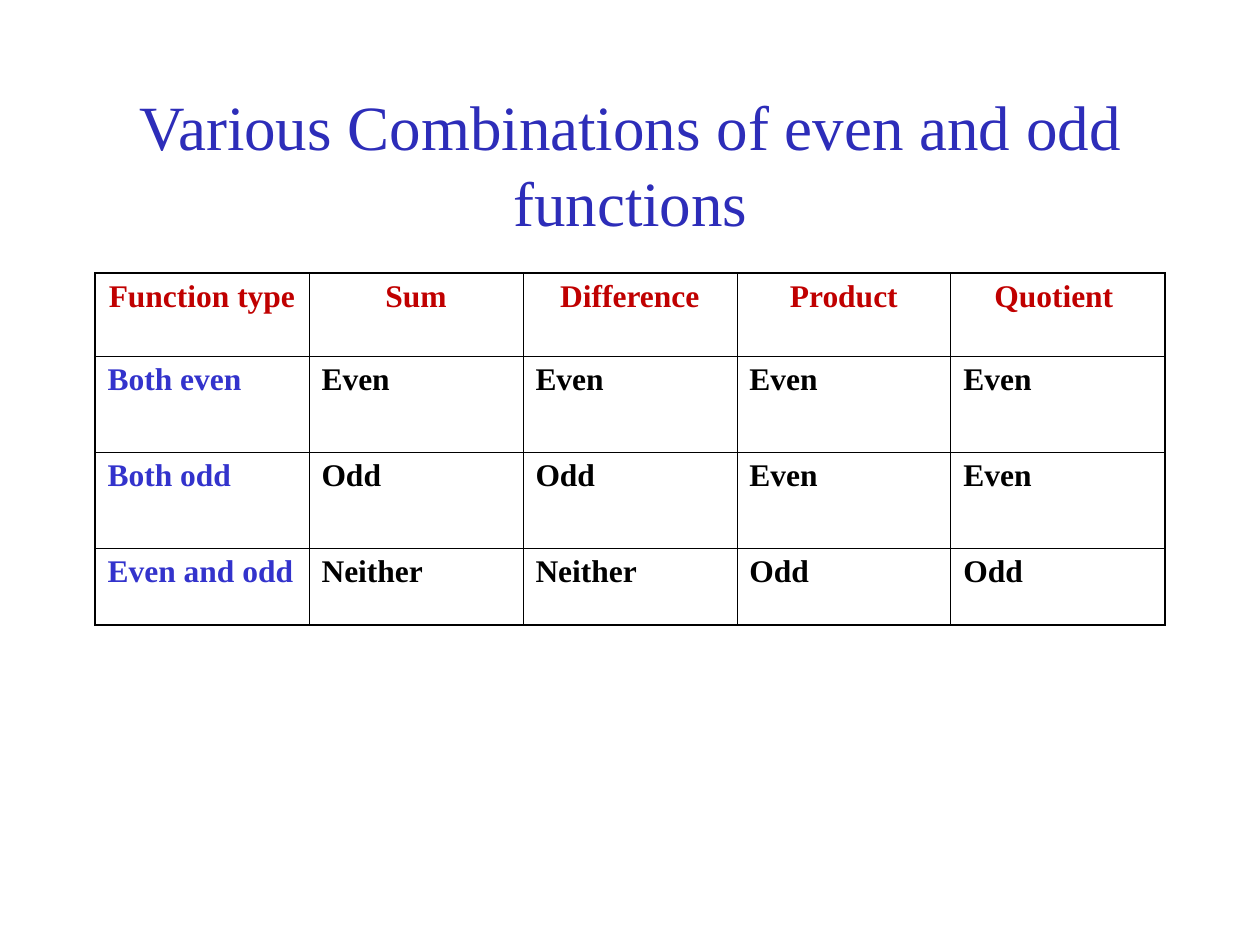
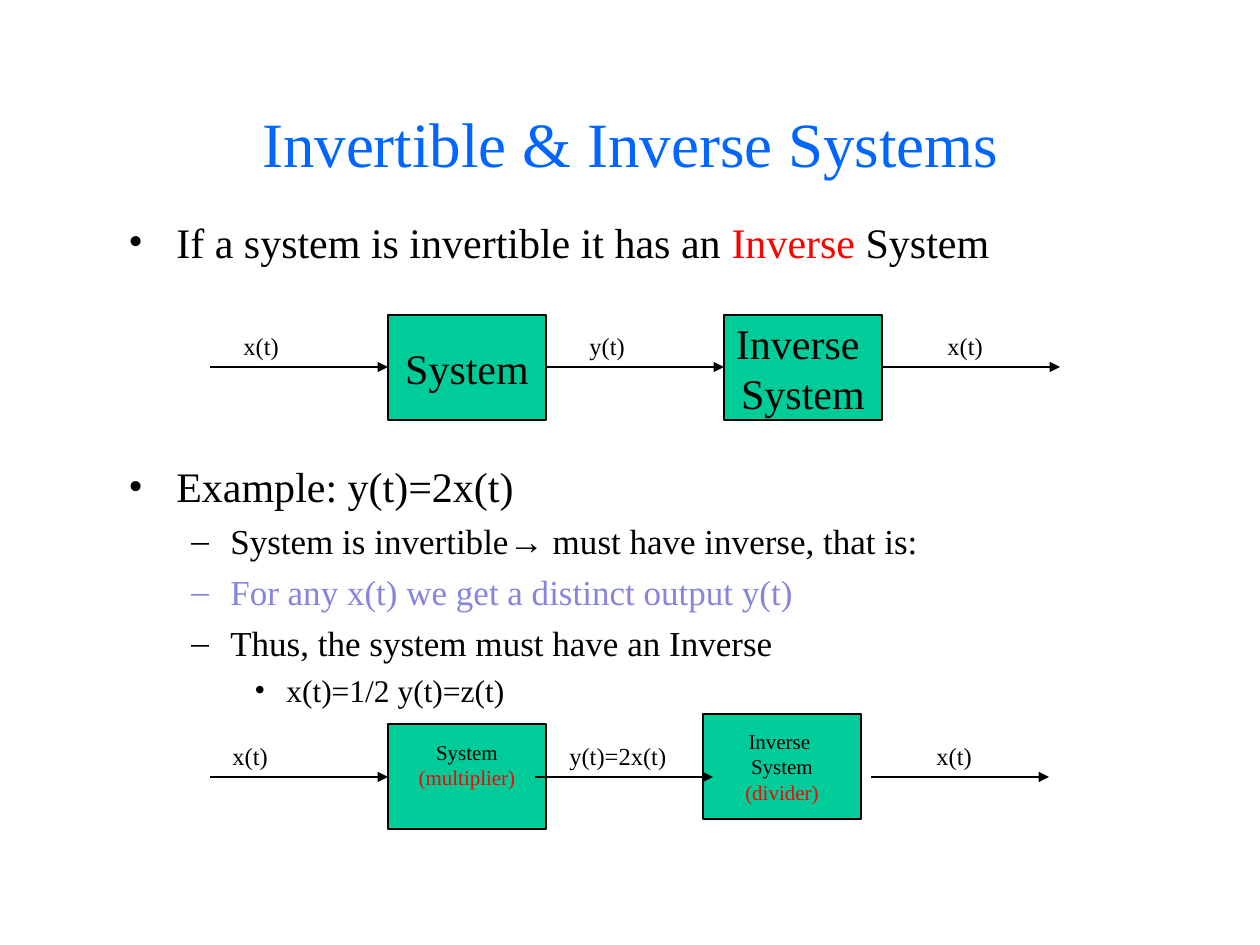
import lxml.etree
import pptx
import pptx.dml.color
import pptx.enum.shapes
import pptx.enum.text
import pptx.oxml.ns
import pptx.util

PX_PER_INCH = 126
COLOURS = {
    "black": "000000", "indigo": "2D2DB9", "azure": "0066FF", "row": "3333CC",
    "heading": "C00000", "red": "FF0000", "lilac": "8585E0", "green": "00CC99",
}
ALIGN = pptx.enum.text.PP_ALIGN
ANCHOR = pptx.enum.text.MSO_ANCHOR


def px(length):
    return pptx.util.Emu(round(length * 914400 / PX_PER_INCH))


def rgb(name):
    return pptx.dml.color.RGBColor.from_string(COLOURS[name])


def child(parent, tag, **attributes):
    return lxml.etree.SubElement(parent, pptx.oxml.ns.qn(tag), attributes)


class Deck:
    FONT = "Times New Roman"
    # level: bullet, size, left margin, hanging indent, space before
    LEVELS = [("•", 24, 48, 48, 6), ("–", 20, 102, 39, 5), ("•", 18, 158, 32, 4.5)]

    def __init__(self):
        self.presentation = pptx.Presentation()
        self.presentation.slide_width = px(1260)
        self.presentation.slide_height = px(945)
        self.slide = None

    def new_slide(self):
        self.slide = self.presentation.slides.add_slide(self.presentation.slide_layouts[6])

    def style(self, paragraph, size, colour="black", align=ALIGN.LEFT, bold=False):
        paragraph.alignment = align
        font = paragraph.font
        font.name, font.size, font.bold = self.FONT, pptx.util.Pt(size), bold
        font.color.rgb = rgb(colour)

    def text_box(self, left, top, width, height, anchor=ANCHOR.TOP):
        frame = self.slide.shapes.add_textbox(px(left), px(top), px(width), px(height)).text_frame
        frame.word_wrap = True
        frame.vertical_anchor = anchor
        return frame

    def title(self, text, top, colour):
        paragraph = self.text_box(95, top, 1071, 158, ANCHOR.MIDDLE).paragraphs[0]
        paragraph.text = text
        self.style(paragraph, 36, colour, ALIGN.CENTER)

    def label(self, text, left, top, width=84):
        paragraph = self.text_box(left, top, width, 43).paragraphs[0]
        paragraph.text = text
        self.style(paragraph, 14)

    def bullets(self, left, top, width, height, items):
        """Each item: level, colour, space before (None for the usual), runs of (text, change)."""
        frame = self.text_box(left, top, width, height)
        for index, (level, colour, gap, runs) in enumerate(items):
            bullet, size, margin, hanging, usual_gap = self.LEVELS[level]
            paragraph = frame.add_paragraph() if index else frame.paragraphs[0]
            paragraph.level = level
            paragraph.space_before = pptx.util.Pt(usual_gap if gap is None else gap)
            properties = paragraph._p.get_or_add_pPr()
            properties.set("marL", str(px(margin)))
            properties.set("indent", str(-px(hanging)))
            child(child(properties, "a:buClr"), "a:srgbClr", val=COLOURS[colour])
            child(properties, "a:buFont", typeface=self.FONT)
            child(properties, "a:buChar", char=bullet)
            self.style(paragraph, size, colour)
            for text, change in runs:
                run = paragraph.add_run()
                run.text = text
                if change in COLOURS:
                    run.font.color.rgb = rgb(change)
                elif change:
                    run.font.name = change

    def block(self, left, top, size, lines, extra_bottom=0):
        box = self.slide.shapes.add_shape(
            pptx.enum.shapes.MSO_SHAPE.RECTANGLE, px(left), px(top), px(158), px(105))
        box.shadow.inherit = False
        box.fill.solid()
        box.fill.fore_color.rgb = rgb("green")
        box.line.color.rgb = rgb("black")
        box.line.width = pptx.util.Pt(0.75)
        frame = box.text_frame
        frame.word_wrap = False
        frame.vertical_anchor = ANCHOR.MIDDLE
        frame.margin_bottom = px(6 + extra_bottom)
        for index, text in enumerate(lines):
            paragraph = frame.add_paragraph() if index else frame.paragraphs[0]
            paragraph.text = text
            self.style(paragraph, size, "red" if text.startswith("(") else "black", ALIGN.CENTER)

    def arrow(self, left, y, length=178):
        line = self.slide.shapes.add_connector(
            pptx.enum.shapes.MSO_CONNECTOR.STRAIGHT, px(left), px(y), px(left + length), px(y))
        line.line.color.rgb = rgb("black")
        line.line.width = pptx.util.Pt(0.75)
        child(line.line._get_or_add_ln(), "a:tailEnd", type="triangle")
        child(line._element.spPr, "a:effectLst")

    def borders(self, cell, outer_sides):
        properties = cell._tc.get_or_add_tcPr()
        for side in "LRTB":
            width = pptx.util.Pt(1.08 if side in outer_sides else 0.45)
            line = child(properties, f"a:ln{side}", w=str(width))
            child(child(line, "a:solidFill"), "a:srgbClr", val=COLOURS["black"])
        cell.fill.background()

    def table(self, left, top, column_width, row_heights, rows):
        last_row, last_column = len(rows) - 1, len(rows[0]) - 1
        table = self.slide.shapes.add_table(
            len(rows), len(rows[0]), px(left), px(top),
            px(column_width * len(rows[0])), px(sum(row_heights))).table
        table.first_row = table.horz_banding = False
        for column in table.columns:
            column.width = px(column_width)
        for r, (height, texts) in enumerate(zip(row_heights, rows)):
            table.rows[r].height = px(height)
            for c, text in enumerate(texts):
                cell = table.cell(r, c)
                cell.text = text
                colour = "heading" if r == 0 else "row" if c == 0 else "black"
                self.style(cell.text_frame.paragraphs[0], 18, colour,
                           ALIGN.LEFT if r else ALIGN.CENTER, bold=True)
                outer = {"T": r == 0, "B": r == last_row, "L": c == 0, "R": c == last_column}
                self.borders(cell, [side for side in outer if outer[side]])


def combinations_slide(deck):
    deck.new_slide()
    deck.title("Various Combinations of even and odd functions", 84, "indigo")
    deck.table(95, 273, 214, [83, 96, 96, 77], [
        ["Function type", "Sum", "Difference", "Product", "Quotient "],
        ["Both even", "Even", "Even", "Even", "Even"],
        ["Both odd", "Odd", "Odd", "Even", "Even"],
        ["Even and odd", "Neither", "Neither", "Odd", "Odd"],
    ])


def inverse_systems_slide(deck):
    deck.new_slide()
    deck.title("Invertible & Inverse Systems", 63, "azure")
    deck.bullets(116, 210, 1071, 599, [
        (0, "black", 0, [("If a system is invertible it has an ", None),
                         ("Inverse", "red"), (" System", None)]),
        (0, "black", 111, [("Example: y(t)=2x(t)", None)]),
        (1, "black", None, [("System is invertible", None), ("→", "Arial"),
                            (" must have inverse, that is:", None)]),
        (1, "lilac", None, [("For any x(t) we get a distinct output y(t)", None)]),
        (1, "black", None, [("Thus, the system must have an Inverse", None)]),
        (2, "black", None, [("x(t)=1/2 y(t)=z(t)", None)]),
    ])

    # General chain: system followed by its inverse
    deck.block(388, 315, 24, ["System"])
    deck.block(724, 315, 24, ["Inverse ", "System"])
    for text, left in [("x(t)", 231), ("y(t)", 577), ("x(t)", 935)]:
        deck.label(text, left, 325)
    for left in (210, 546, 882):
        deck.arrow(left, 367)

    # Example chain: multiplier followed by divider
    deck.block(388, 724, 12, ["System", "(multiplier)"], extra_bottom=24)
    deck.block(703, 714, 12, ["Inverse ", "System", "(divider)"])
    for text, left, width in [("x(t)", 220, 84), ("y(t)=2x(t)", 557, 136), ("x(t)", 924, 84)]:
        deck.label(text, left, 735, width)
    for left in (210, 535, 871):
        deck.arrow(left, 777)


def main():
    deck = Deck()
    combinations_slide(deck)
    inverse_systems_slide(deck)
    deck.presentation.save("out.pptx")


if __name__ == "__main__":
    main()
